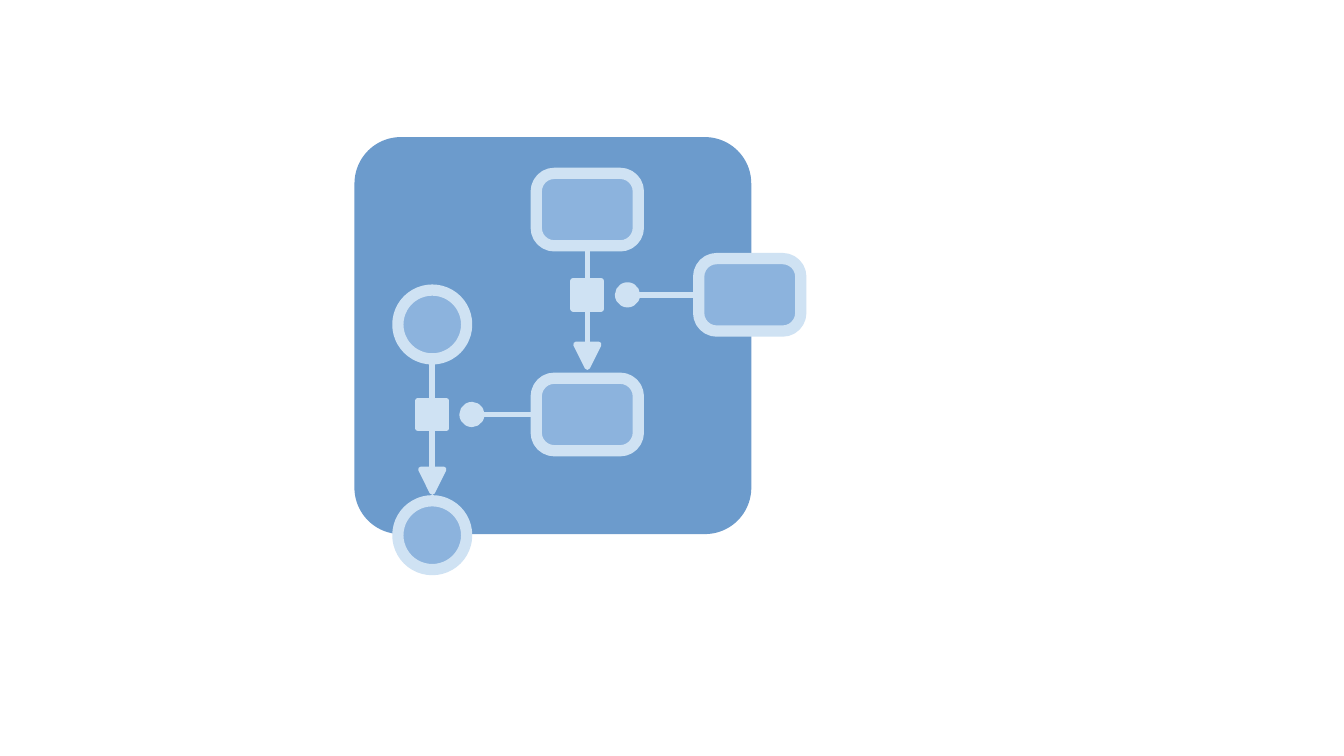
from pptx import Presentation
from pptx.dml.color import RGBColor
from pptx.enum.shapes import MSO_CONNECTOR, MSO_SHAPE
from pptx.oxml.ns import qn
from pptx.util import Cm, Pt
from lxml.etree import SubElement

PANEL_BLUE = RGBColor(0x6C, 0x9B, 0xCC)
NODE_BLUE = RGBColor(0x8C, 0xB3, 0xDD)
PALE_BLUE = RGBColor(0xCF, 0xE2, 0xF3)

NODE_LINE, THIN_LINE = 6, 3
CIRCLE, SQUARE, DOT, ARROW = 1.3, 0.53, 0.37, 0.43
BOX_WIDTH, BOX_HEIGHT = 1.93, 1.37


class Diagram:
    """Style and current slide; shapes are placed by their centre, in cm."""

    def __init__(self, deck):
        self.page = deck.slides.add_slide(deck.slide_layouts[6])
        self.group = self.page.shapes.add_group_shape()

    def outline(self, line, weight):
        line.color.rgb = PALE_BLUE
        line.width = Pt(weight)
        SubElement(line._get_or_add_ln(), qn("a:round"))

    def shape(self, kind, x, y, width, height, fill=PALE_BLUE, weight=THIN_LINE):
        shape = self.group.shapes.add_shape(
            kind, Cm(x - width / 2), Cm(y - height / 2), Cm(width), Cm(height))
        shape.shadow.inherit = False
        shape.fill.solid()
        shape.fill.fore_color.rgb = fill
        if weight:
            self.outline(shape.line, weight)
        else:
            shape.line.fill.background()
        return shape

    def panel(self, x, y, size):
        panel = self.shape(MSO_SHAPE.ROUNDED_RECTANGLE, x, y, size, size, PANEL_BLUE, 0)
        panel.adjustments[0] = 0.117

    def circle(self, x, y):
        self.shape(MSO_SHAPE.OVAL, x, y, CIRCLE, CIRCLE, NODE_BLUE, NODE_LINE)

    def box(self, x, y):
        box = self.shape(MSO_SHAPE.ROUNDED_RECTANGLE, x, y,
                         BOX_WIDTH, BOX_HEIGHT, NODE_BLUE, NODE_LINE)
        box.adjustments[0] = 0.25

    def line(self, x1, y1, x2, y2):
        line = self.group.shapes.add_connector(
            MSO_CONNECTOR.STRAIGHT, Cm(x1), Cm(y1), Cm(x2), Cm(y2))
        self.outline(line.line, THIN_LINE)
        SubElement(line._element.spPr, qn("a:effectLst"))

    def reaction(self, x, y, top, arrow_y, dot_x, box_left):
        """Square on a downward arrow, with a catalyst joining from the right."""
        self.shape(MSO_SHAPE.RECTANGLE, x, y, SQUARE, SQUARE)
        self.shape(MSO_SHAPE.OVAL, dot_x, y, DOT, DOT)
        self.line(dot_x + DOT / 2, y, box_left, y)
        arrow = self.shape(MSO_SHAPE.ISOSCELES_TRIANGLE, x, arrow_y, ARROW, ARROW)
        arrow.rotation = 180
        self.line(x, arrow_y - ARROW / 2, x, y + SQUARE / 2)
        self.line(x, y - SQUARE / 2, x, top)


deck = Presentation()
deck.slide_width, deck.slide_height = Cm(25.4), Cm(14.28)
diagram = Diagram(deck)

left_x, middle_x, right_x = 8.17, 11.1, 14.17
lower_y, upper_y = 7.83, 5.57
circle_top_y, box_top_y = 6.13, 3.96

# Background panel
diagram.panel(10.45, 6.34, 7.5)

# Nodes
for y in (circle_top_y, 10.11):
    diagram.circle(left_x, y)
for x, y in ((middle_x, lower_y), (right_x, upper_y), (middle_x, box_top_y)):
    diagram.box(x, y)

# Reactions between the nodes
diagram.reaction(left_x, lower_y, circle_top_y + CIRCLE / 2, 9.08,
                 8.92, middle_x - BOX_WIDTH / 2)
diagram.reaction(middle_x, upper_y, box_top_y + BOX_HEIGHT / 2, 6.72,
                 11.86, right_x - BOX_WIDTH / 2)

deck.save("out.pptx")
